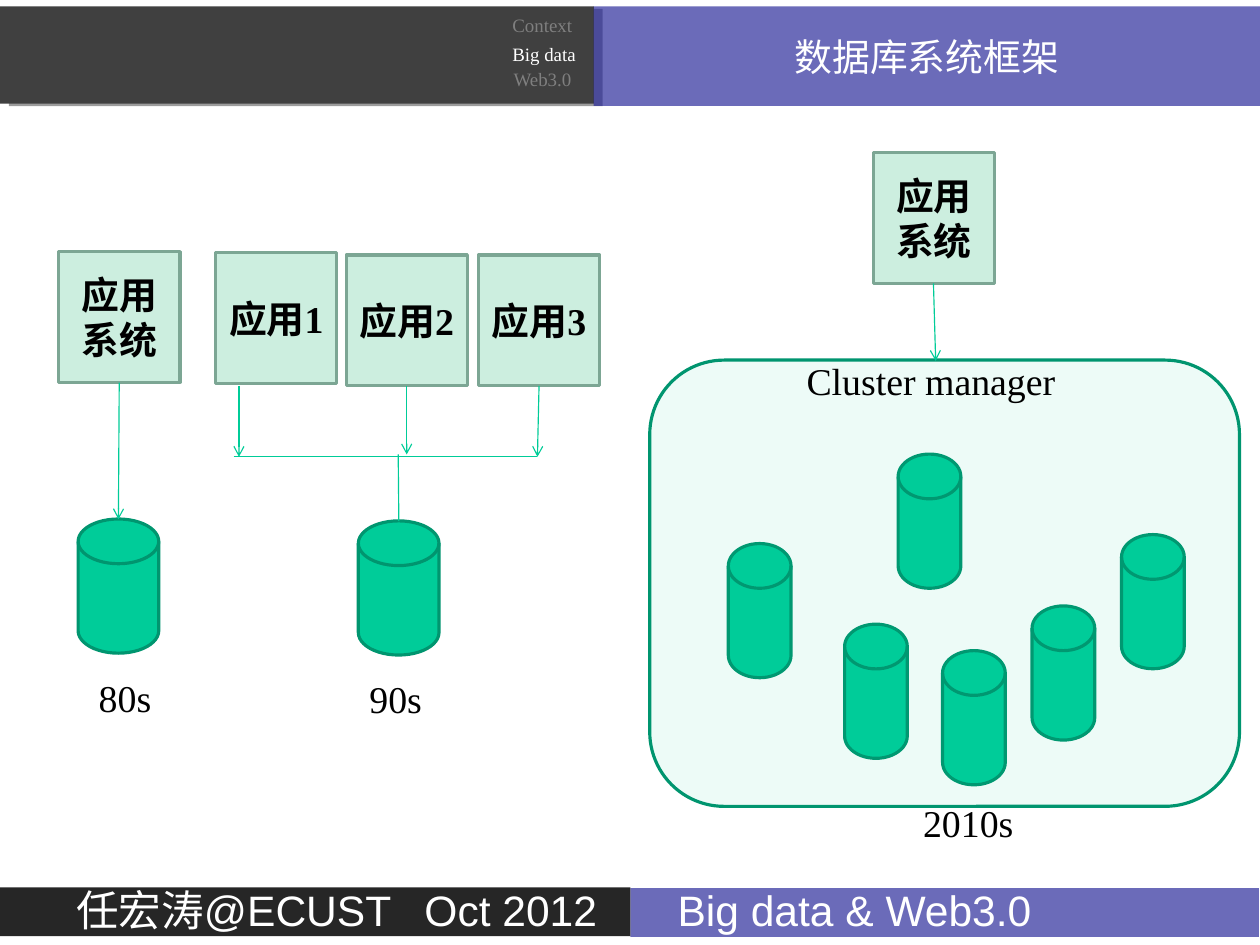
from pptx import Presentation
from pptx.util import Pt
from pptx.dml.color import RGBColor
from pptx.enum.shapes import MSO_SHAPE, MSO_CONNECTOR
from pptx.enum.text import MSO_ANCHOR, MSO_AUTO_SIZE, PP_ALIGN
from pptx.oxml.ns import qn
from lxml.etree import SubElement

COLORS = {
    "white": "FFFFFF", "black": "000000", "muted": "7F7F7F",
    "bar": "404040", "foot": "262626", "violet": "262699",
    "app": "CCEEDF", "rim": "7CA694",
    "disk": "00CC99", "edge": "00956F", "wire": "00CC98",
}

# Content: positions in points
TITLE = "数据库系统框架"
NAV = [  # text, left, top, color
    ("Context", 318.2, 5, "muted"),
    ("Big data", 318.2, 23.3, "white"),
    ("Web3.0", 319, 39.2, "muted"),
]
APPS = [  # text, left, top
    ("应用系统", 37.4, 159.8),
    ("应用1", 136.9, 160.6),
    ("应用2", 219.8, 162),
    ("应用3", 303.7, 162),
    ("应用系统", 554.4, 97),
]
WIDE, SLIM = 51.2, 39.8
DISKS = [  # left, top, width
    (49.6, 329.6, WIDE), (227.5, 330.8, WIDE),
    (462.4, 345.2, SLIM), (570.2, 288.4, SLIM), (712, 339.5, SLIM),
    (536.2, 396.4, SLIM), (598.4, 413.2, SLIM), (655.2, 384.8, SLIM),
]
LABELS = [  # text, left, top, width
    ("80s", 55.6, 424.8, 48),
    ("90s", 227.4, 425.8, 48),
    ("2010s", 578.9, 504, 73),
    ("Cluster manager", 504.9, 223.9, 173),
]
ARROWS = [  # from x, y, to x, y
    (75.7, 243, 75.2, 329.8),
    (151.7, 245, 151.7, 290.1),
    (258.2, 245, 258.2, 288.6),
    (342.2, 245, 341.2, 290.1),
    (592.6, 180, 594, 229.2),
]
LINES = [(148.3, 290, 341.2, 290), (253.2, 331, 252.8, 288.6)]
FOOT = [  # text, left, top, width, color, alpha, inset, tab
    ("Big data & Web3.0", 400.2, 564, 399, "violet", 68, 30, None),
    ("任宏涛@ECUST\tOct 2012", 0, 563.5, 400.2, "foot", None, 48.5, 221),
]

# Formats
MIDDLE = {"vertical_anchor": MSO_ANCHOR.MIDDLE, "word_wrap": True}
LOOSE = {"word_wrap": False, "auto_size": MSO_AUTO_SIZE.SHAPE_TO_FIT_TEXT}
TOP = {"vertical_anchor": MSO_ANCHOR.TOP, "word_wrap": True,
       "margin_top": 0, "margin_right": 0, "margin_bottom": 0}
CENTER = {"alignment": PP_ALIGN.CENTER}
LEFT = {"alignment": PP_ALIGN.LEFT}
SERIF = {"name": "Times New Roman", "size": Pt(24)}
SMALL = {"name": "Times New Roman", "size": Pt(12)}
SANS = {"name": "Arial", "size": Pt(27)}


def style(item, form):
    for name, value in form.items():
        setattr(item, name, value)


def paint(name):
    return RGBColor.from_string(COLORS[name])


def write(shape, text, frame, para, font, color):
    box = shape.text_frame
    style(box, frame)
    box.text = text
    first = box.paragraphs[0]
    style(first, para)
    run = first.runs[0].font
    style(run, font)
    run.color.rgb = paint(color)
    return first


def draw(kind, area, fill, edge=None, alpha=None):
    shape = slide.shapes.add_shape(kind, *map(Pt, area))
    shape.shadow.inherit = False
    shape.fill.solid()
    shape.fill.fore_color.rgb = paint(fill)
    if alpha:
        tone = shape.element.spPr.find(".//" + qn("a:srgbClr"))
        SubElement(tone, qn("a:alpha"), val=str(alpha * 1000))
    if edge:
        shape.line.color.rgb = paint(edge)
        shape.line.width = Pt(2)
    else:
        shape.line.fill.background()
    return shape


def label(text, area, font, color):
    box = slide.shapes.add_textbox(*map(Pt, area))
    write(box, text, LOOSE, LEFT, font, color)


def link(ends, arrow):
    wire = slide.shapes.add_connector(MSO_CONNECTOR.STRAIGHT, *map(Pt, ends))
    wire.line.color.rgb = paint("wire")
    wire.line.width = Pt(0.75)
    if arrow:
        edge = wire.element.spPr.find(qn("a:ln"))
        SubElement(edge, qn("a:tailEnd"), type="arrow")
    SubElement(wire.element.spPr, qn("a:effectLst"))


deck = Presentation()
deck.slide_width = Pt(799.88)
deck.slide_height = Pt(600.12)
slide = deck.slides.add_slide(deck.slide_layouts[6])

# Header bars, the dark one with a hard shadow
bar = draw(MSO_SHAPE.RECTANGLE, (0, 4.1, 377, 61.8), "bar")
glow = SubElement(bar.element.spPr.find(qn("a:effectLst")), qn("a:outerShdw"),
                  blurRad="0", dist=str(Pt(5.9)), dir=str(16 * 60000),
                  algn="tl", rotWithShape="0")
shade = SubElement(glow, qn("a:srgbClr"), val=COLORS["black"])
SubElement(shade, qn("a:alpha"), val="38000")
head = draw(MSO_SHAPE.RECTANGLE, (376.8, 4.1, 423, 63.2), "violet", alpha=68)
write(head, TITLE, MIDDLE, CENTER, SERIF, "white")
for text, x, y, color in NAV:
    label(text, (x, y, 55, 21.6), SMALL, color)

# Applications and databases
for text, x, y in APPS:
    app = draw(MSO_SHAPE.RECTANGLE, (x, y, 77, 83), "app", "rim")
    write(app, text, MIDDLE, CENTER, SERIF | {"bold": True}, "black")
for x, y, wide in DISKS:
    draw(MSO_SHAPE.FLOWCHART_MAGNETIC_DISK, (x, y, wide, 85.2), "disk", "edge")

# Cluster frame over its databases
draw(MSO_SHAPE.ROUNDED_RECTANGLE, (412.5, 228.7, 374.4, 283.4),
     "disk", "edge", 7)

# Links and labels
for ends in ARROWS:
    link(ends, True)
for ends in LINES:
    link(ends, False)
for text, x, y, wide in LABELS:
    label(text, (x, y, wide, 36.3), SERIF, "black")

# Footer
for text, x, y, wide, color, alpha, inset, tab in FOOT:
    foot = draw(MSO_SHAPE.RECTANGLE, (x, y, wide, 31), color, alpha=alpha)
    para = write(foot, text, TOP | {"margin_left": Pt(inset)},
                 LEFT | {"line_spacing": 0.95}, SANS, "white")
    if tab:
        stops = SubElement(para._p.get_or_add_pPr(), qn("a:tabLst"))
        SubElement(stops, qn("a:tab"), pos=str(Pt(tab)), algn="l")

deck.save("out.pptx")
